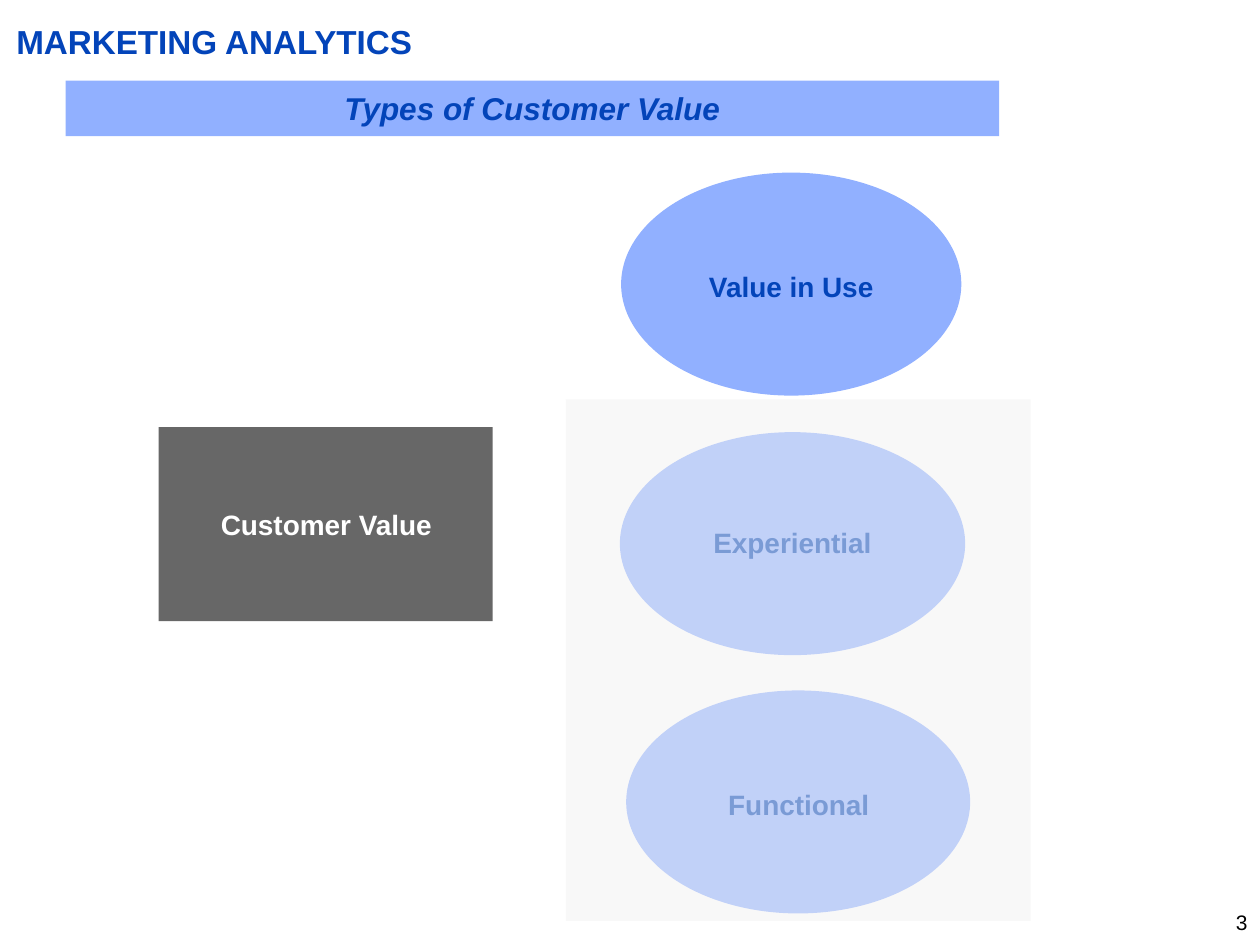
from lxml.etree import SubElement
from pptx import Presentation
from pptx.dml.color import RGBColor
from pptx.enum.shapes import MSO_SHAPE as SHAPE
from pptx.enum.text import MSO_ANCHOR as ANCHOR, PP_ALIGN as ALIGN
from pptx.oxml.ns import qn
from pptx.util import Inches, Pt

COLORS = {"navy": "0344B9", "sky": "91B0FF", "gray": "676767",
          "veil": "F2F2F2", "white": "FFFFFF", "black": "000000"}

TITLE = "MARKETING ANALYTICS"
BANNER = "Types of Customer Value"
PAGE = "3"
LABEL_SIZE = (2.5, 0.37)

# (text, shape, fill, text colour, shape box, label left and top)
VALUES = [
    ("Value in Use", SHAPE.OVAL, "sky", "navy", (4.93, 1.37, 2.7, 1.77), (5.03, 2.09)),
    ("Customer Value", SHAPE.RECTANGLE, "gray", "white", (1.26, 3.39, 2.65, 1.54), (1.34, 3.98)),
    ("Functional", SHAPE.OVAL, "sky", "navy", (4.97, 5.48, 2.73, 1.77), (5.09, 6.2)),
    ("Experiential", SHAPE.OVAL, "sky", "navy", (4.92, 3.43, 2.74, 1.77), (5.04, 4.12)),
]
VEIL_BOX = (4.49, 3.17, 3.69, 4.14)


def rgb(name):
    return RGBColor.from_string(COLORS[name])


def add_block(slide, kind, box, fill):
    sp = slide.shapes.add_shape(kind, *map(Inches, box))
    sp.shadow.inherit = False
    sp.fill.solid()
    sp.fill.fore_color.rgb = rgb(fill)
    sp.line.fill.background()
    return sp


def write(sp, text, size=16, color="navy", bold=True, italic=False,
          align=ALIGN.CENTER, anchor=ANCHOR.TOP, inset=(0.1, 0.05)):
    tf = sp.text_frame
    tf.word_wrap = True
    tf.vertical_anchor = anchor
    tf.margin_left = tf.margin_right = Inches(inset[0])
    tf.margin_top = tf.margin_bottom = Inches(inset[1])
    p = tf.paragraphs[0]
    p.alignment = align
    r = p.add_run()
    r.text = text
    r.font.name = "Arial"
    r.font.size = Pt(size)
    r.font.bold = bold
    r.font.italic = italic
    r.font.color.rgb = rgb(color)


def add_text(slide, box, text, **fmt):
    write(slide.shapes.add_textbox(*map(Inches, box)), text, **fmt)


prs = Presentation()
prs.slide_width, prs.slide_height = Inches(10), Inches(7.5)
slide = prs.slides.add_slide(prs.slide_layouts[6])

# Page number, title and banner
add_text(slide, (7.82, 7.22, 2.08, 0.2), PAGE, size=12, color="black",
         bold=False, align=ALIGN.RIGHT, inset=(0, 0))
add_text(slide, (0.13, 0.17, 9.62, 0.32), TITLE, size=19,
         align=ALIGN.LEFT, inset=(0, 0))
banner = add_block(slide, SHAPE.RECTANGLE, (0.52, 0.64, 7.41, 0.44), "sky")
write(banner, BANNER, size=18, italic=True, anchor=ANCHOR.MIDDLE)

# Customer value and its types
for text, kind, fill, color, box, label in VALUES:
    add_block(slide, kind, box, fill)
    add_text(slide, label + LABEL_SIZE, text, color=color)

# Half-transparent veil over the types not in focus
veil = add_block(slide, SHAPE.RECTANGLE, VEIL_BOX, "veil")
veil_color = veil.fill._xPr.find(qn("a:solidFill"))[0]
SubElement(veil_color, qn("a:alpha"), val="50000")

prs.save("out.pptx")
